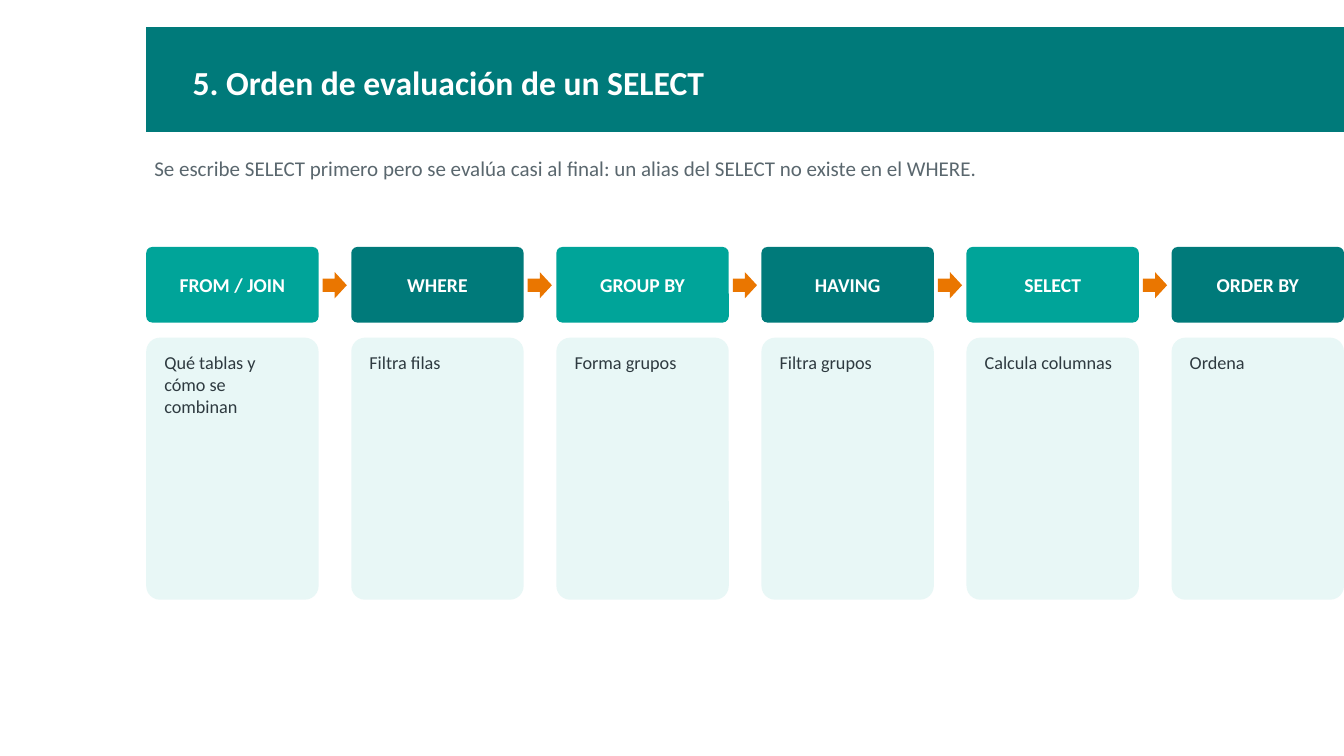
import pptx
import pptx.dml.color
import pptx.enum.shapes
import pptx.enum.text
import pptx.util

Inch = pptx.util.Inches
Kind = pptx.enum.shapes.MSO_SHAPE
Anchor = pptx.enum.text.MSO_ANCHOR
Align = pptx.enum.text.PP_ALIGN

WIDE, HIGH = 13.33, 7.5
LEFT = 1.45
SPAN = WIDE - LEFT
STEP_W = 1.71
STEPS = [
    ("FROM / JOIN", "Qué tablas y cómo se combinan"),
    ("WHERE", "Filtra filas"),
    ("GROUP BY", "Forma grupos"),
    ("HAVING", "Filtra grupos"),
    ("SELECT", "Calcula columnas"),
    ("ORDER BY", "Ordena"),
]
PITCH = (SPAN - STEP_W) / (len(STEPS) - 1)

TEAL, MINT, PALE, ORANGE = "007A7A", "00A499", "E8F7F6", "EA7600"
WHITE, GREY, INK = "FFFFFF", "5A676E", "2E3A40"

HEAD = {"size": pptx.util.Pt(24), "bold": True}
LEAD = {"size": pptx.util.Pt(15)}
LABEL = {"size": pptx.util.Pt(14), "bold": True}
NOTE = {"size": pptx.util.Pt(13)}


def paint(color, code):
    color.rgb = pptx.dml.color.RGBColor.from_string(code)


def add_block(slide, kind, box, code):
    """Add a filled preset shape without outline or shadow."""
    block = slide.shapes.add_shape(kind, *map(Inch, box))
    block.shadow.inherit = False
    block.fill.solid()
    paint(block.fill.fore_color, code)
    block.line.fill.background()
    if kind == Kind.ROUNDED_RECTANGLE:
        block.adjustments[0] = 0.08
    return block


def write(shape, text, style, code, align=Align.LEFT, anchor=Anchor.TOP,
          side=0.08, top=0.04):
    """Put one formatted paragraph in a shape."""
    frame = shape.text_frame
    layout = {
        "word_wrap": True,
        "auto_size": pptx.enum.text.MSO_AUTO_SIZE.NONE,
        "vertical_anchor": anchor,
        "margin_left": Inch(side), "margin_right": Inch(side),
        "margin_top": Inch(top), "margin_bottom": Inch(top),
    }
    for name, value in layout.items():
        setattr(frame, name, value)
    para = frame.paragraphs[0]
    para.alignment = align
    para.space_after = pptx.util.Pt(6)
    run = para.add_run()
    run.text = text
    for name, value in {"name": "Calibri", **style}.items():
        setattr(run.font, name, value)
    paint(run.font.color, code)


def add_header(slide, text):
    band = add_block(slide, Kind.RECTANGLE, (LEFT, 0.27, SPAN, 1.04), TEAL)
    title = slide.shapes.title
    title.element.addprevious(band.element)
    place = {"left": 1.83, "top": 0.38, "width": 10.9, "height": 0.87}
    for name, value in place.items():
        setattr(title, name, Inch(value))
    write(title, text, HEAD, WHITE, anchor=Anchor.MIDDLE)


def add_lead(slide, text):
    box = slide.shapes.add_textbox(*map(Inch, (LEFT, 1.5, SPAN, 0.7)))
    write(box, text, LEAD, GREY)


def add_step(slide, index, label, note):
    """Add one clause with its card, and an arrow unless it is the last."""
    left = LEFT + index * PITCH
    tag = add_block(slide, Kind.ROUNDED_RECTANGLE,
                    (left, 2.45, STEP_W, 0.75), (MINT, TEAL)[index % 2])
    write(tag, label, LABEL, WHITE, Align.CENTER, Anchor.MIDDLE)
    card = add_block(slide, Kind.ROUNDED_RECTANGLE,
                     (left, 3.35, STEP_W, 2.6), PALE)
    write(card, note, NOTE, INK, side=0.14, top=0.1)
    if index < len(STEPS) - 1:
        add_block(slide, Kind.RIGHT_ARROW,
                  (left + STEP_W + 0.04, 2.7, 0.24, 0.26), ORANGE)


def main():
    deck = pptx.Presentation()
    deck.slide_width, deck.slide_height = Inch(WIDE), Inch(HIGH)
    slide = deck.slides.add_slide(deck.slide_layouts.get_by_name("Title Only"))
    add_header(slide, "5. Orden de evaluación de un SELECT")
    add_lead(slide, "Se escribe SELECT primero pero se evalúa casi al final: "
                    "un alias del SELECT no existe en el WHERE.")
    for index, (label, note) in enumerate(STEPS):
        add_step(slide, index, label, note)
    deck.save("out.pptx")


if __name__ == "__main__":
    main()
